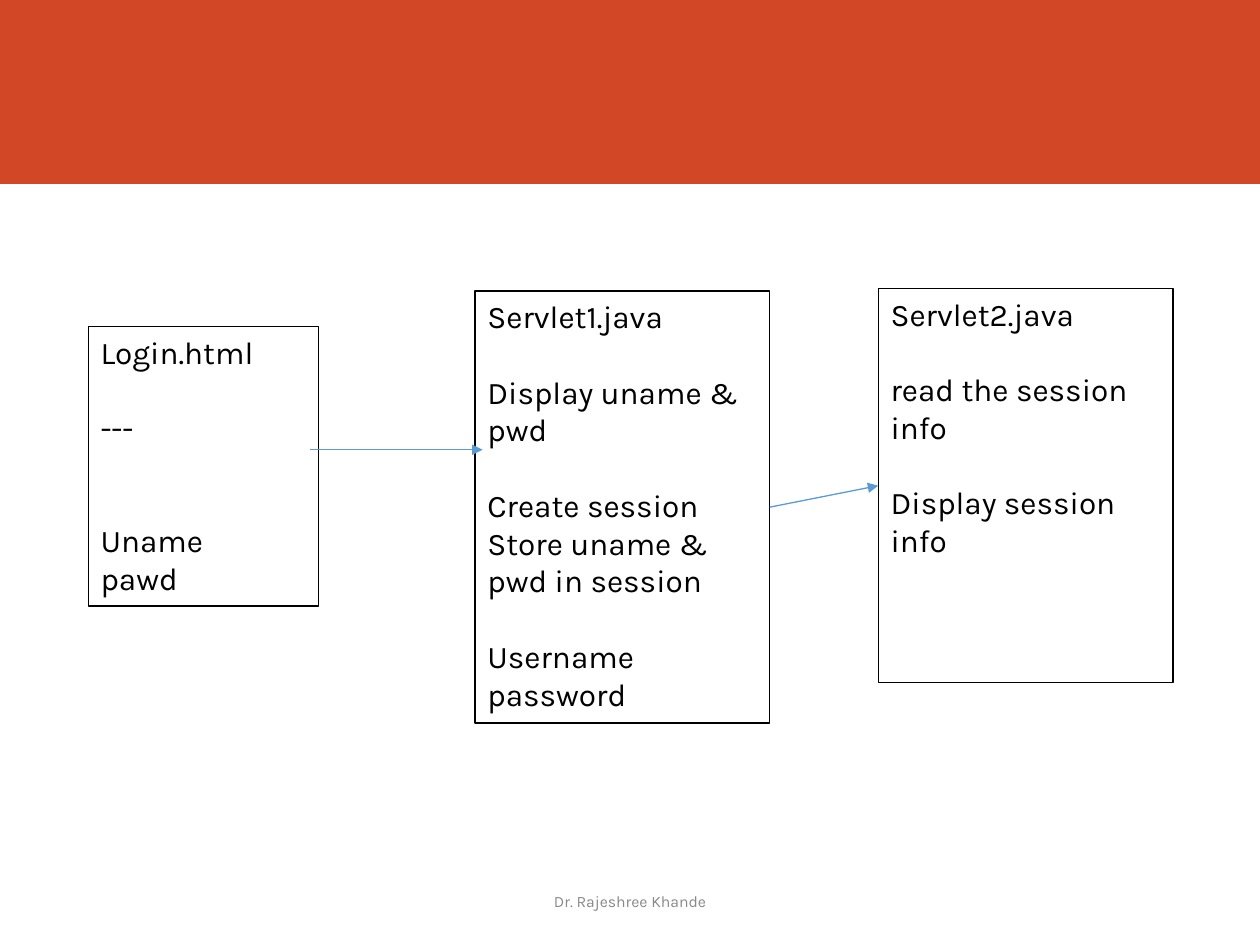
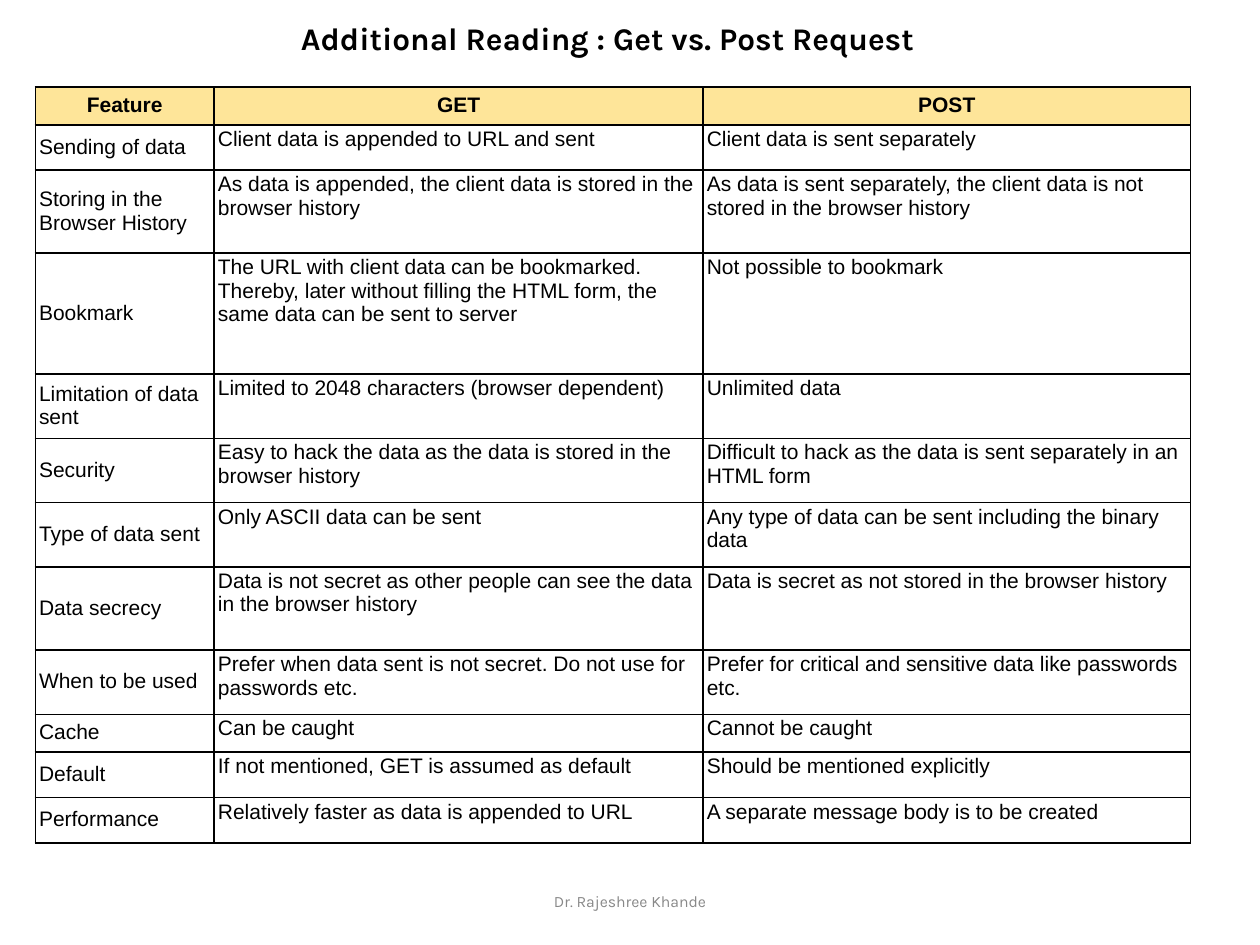
from lxml import etree
from pptx import Presentation
from pptx import util as u
from pptx.dml.color import RGBColor
from pptx.enum import shapes, text
from pptx.oxml.ns import qn

COLORS = {"band": "D24726", "ink": "000000", "arrow": "5B9BD5",
          "footer": "888888", "header": "FEE599"}
TITLE = {"name": "Karla", "size": u.Pt(18), "bold": True}
BODY = {"name": "Karla", "size": u.Pt(18)}
FOOTER = {"name": "Karla", "size": u.Pt(9)}
CELL = {"name": "Arial", "size": u.Pt(12), "bold": False}
HEADER = {**CELL, "bold": True}
LINE_HEIGHT = 21.5  # points taken by one line of body text

COLUMNS = [1.42, 3.88, 3.87]
ROWS = [
    (0.3, "Feature", "GET", "POST"),
    (0.36, "Sending of data", "Client data is appended to URL and sent",
     "Client data is sent separately"),
    (0.66, "Storing in the Browser History",
     "As data is appended, the client data is stored in the browser history",
     "As data is sent separately, the client data is not stored in the browser history"),
    (0.96, "Bookmark",
     "The URL with client data can be bookmarked. Thereby, later without filling "
     "the HTML form, the same data can be sent to server",
     "Not possible to bookmark"),
    (0.51, "Limitation of data sent", "Limited to 2048 characters (browser dependent)",
     "Unlimited data"),
    (0.51, "Security", "Easy to hack the data as the data is stored in the browser history",
     "Difficult to hack as the data is sent separately in an HTML form"),
    (0.51, "Type of data sent", "Only ASCII data can be sent",
     "Any type of data can be sent including the binary data"),
    (0.66, "Data secrecy",
     "Data is not secret as other people can see the data in the browser history",
     "Data is secret as not stored in the browser history"),
    (0.51, "When to be used",
     "Prefer when data sent is not secret. Do not use for passwords etc.",
     "Prefer for critical and sensitive data like passwords etc."),
    (0.3, "Cache", "Can be caught", "Cannot be caught"),
    (0.36, "Default", "If not mentioned, GET is assumed as default",
     "Should be mentioned explicitly"),
    (0.36, "Performance", "Relatively faster as data is appended to URL",
     "A separate message body is to be created"),
]


def rgb(name):
    return RGBColor.from_string(COLORS[name])


def inches(*values):
    return [u.Inches(v) for v in values]


def write(p, words, style, color="ink", align=text.PP_ALIGN.LEFT):
    p.alignment = align
    r = p.add_run()
    r.text = words
    for key, value in style.items():
        setattr(r.font, key, value)
    r.font.color.rgb = rgb(color)


def add_label(s, at, words, style, color="ink", align=text.PP_ALIGN.LEFT,
              anchor=text.MSO_ANCHOR.TOP):
    tf = s.shapes.add_textbox(*inches(*at)).text_frame
    tf.word_wrap = True
    tf.vertical_anchor = anchor
    write(tf.paragraphs[0], words, style, color, align)


def add_footer(s):
    add_label(s, (3.81, 6.95, 2.38, 0.4), "Dr. Rajeshree Khande", FOOTER, "footer",
              text.PP_ALIGN.CENTER, text.MSO_ANCHOR.MIDDLE)


def add_rect(s, at):
    sp = s.shapes.add_shape(shapes.MSO_SHAPE.RECTANGLE, *inches(*at))
    sp.shadow.inherit = False
    return sp


def add_band(s):
    sp = add_rect(s, (0, 0, 10, 1.46))
    sp.fill.solid()
    sp.fill.fore_color.rgb = rgb("band")
    sp.line.fill.background()


def add_file_box(s, at, lines):
    """Outlined box; lines are (lines of space above, words) pairs."""
    sp = add_rect(s, at)
    sp.fill.background()
    sp.line.color.rgb = rgb("ink")
    sp.line.width = u.Pt(0.75)
    tf = sp.text_frame
    tf.word_wrap = True
    tf.vertical_anchor = text.MSO_ANCHOR.TOP
    for i, (gap, words) in enumerate(lines):
        p = tf.add_paragraph() if i else tf.paragraphs[0]
        p.space_before = u.Pt(gap * LINE_HEIGHT)
        write(p, words, BODY)
    return sp


def add_arrow(s, start=(0, 0), end=(0, 0)):
    c = s.shapes.add_connector(shapes.MSO_CONNECTOR.STRAIGHT, *inches(*start, *end))
    c.line.color.rgb = rgb("arrow")
    c.line.width = u.Pt(0.75)
    etree.SubElement(c.line._get_or_add_ln(), qn("a:tailEnd"), type="triangle")
    etree.SubElement(c._element.spPr, qn("a:effectLst"))
    return c


def add_borders(cell):
    tcPr = cell._tc.get_or_add_tcPr()
    for side in ("a:lnL", "a:lnR", "a:lnT", "a:lnB"):
        ln = etree.SubElement(tcPr, qn(side), w=str(u.Pt(1)))
        fill = etree.SubElement(ln, qn("a:solidFill"))
        etree.SubElement(fill, qn("a:srgbClr"), val=COLORS["ink"])


def fill_cell(cell, words, is_header, is_feature):
    centred = is_header or is_feature
    top, bottom = (0.03, 0.04) if centred else (0.02, 0.02)
    margins = {"left": 0.03, "right": 0.03, "top": top, "bottom": bottom}
    for side, value in margins.items():
        setattr(cell, f"margin_{side}", u.Inches(value))
    cell.vertical_anchor = text.MSO_ANCHOR.MIDDLE if centred else text.MSO_ANCHOR.TOP
    add_borders(cell)
    if is_header:
        cell.fill.solid()
        cell.fill.fore_color.rgb = rgb("header")
    else:
        cell.fill.background()
    write(cell.text_frame.paragraphs[0], words, HEADER if is_header else CELL,
          align=text.PP_ALIGN.CENTER if is_header else text.PP_ALIGN.LEFT)


def add_comparison(s, left, top):
    size = inches(sum(COLUMNS), sum(row[0] for row in ROWS))
    table = s.shapes.add_table(len(ROWS), len(COLUMNS), *inches(left, top), *size).table
    table.first_row = table.horz_banding = False
    for column, width in zip(table.columns, COLUMNS):
        column.width = u.Inches(width)
    for i, (height, *words) in enumerate(ROWS):
        table.rows[i].height = u.Inches(height)
        for j, entry in enumerate(words):
            fill_cell(table.cell(i, j), entry, i == 0, j == 0)


def build_session_flow(s):
    add_band(s)
    add_file_box(s, (0.7, 2.59, 1.83, 2.22),
                 [(0, "Login.html"), (1, "---"), (2, "Uname"), (0, "pawd")])
    servlet1 = add_file_box(s, (3.77, 2.31, 2.34, 3.43), [
        (0, "Servlet1.java"), (1, "Display uname & pwd"), (1, "Create session"),
        (0, "Store uname & pwd in session"), (1, "Username"), (0, "password")])
    servlet2 = add_file_box(s, (6.97, 2.29, 2.34, 3.13), [
        (0, "Servlet2.java"), (1, "read the session info"), (1, "Display session info")])
    add_arrow(s, (2.46, 3.57), (3.83, 3.57))
    c = add_arrow(s)
    c.begin_connect(servlet1, 3)
    c.end_connect(servlet2, 1)
    add_footer(s)


def build_get_vs_post(s):
    add_footer(s)
    add_label(s, (2.29, 0.1, 5.09, 0.71), "Additional Reading : Get vs. Post Request", TITLE)
    add_comparison(s, 0.28, 0.69)


def main():
    prs = Presentation()
    prs.slide_width, prs.slide_height = inches(10, 7.5)
    for build in (build_session_flow, build_get_vs_post):
        build(prs.slides.add_slide(prs.slide_layouts[6]))
    prs.save("out.pptx")


if __name__ == "__main__":
    main()
